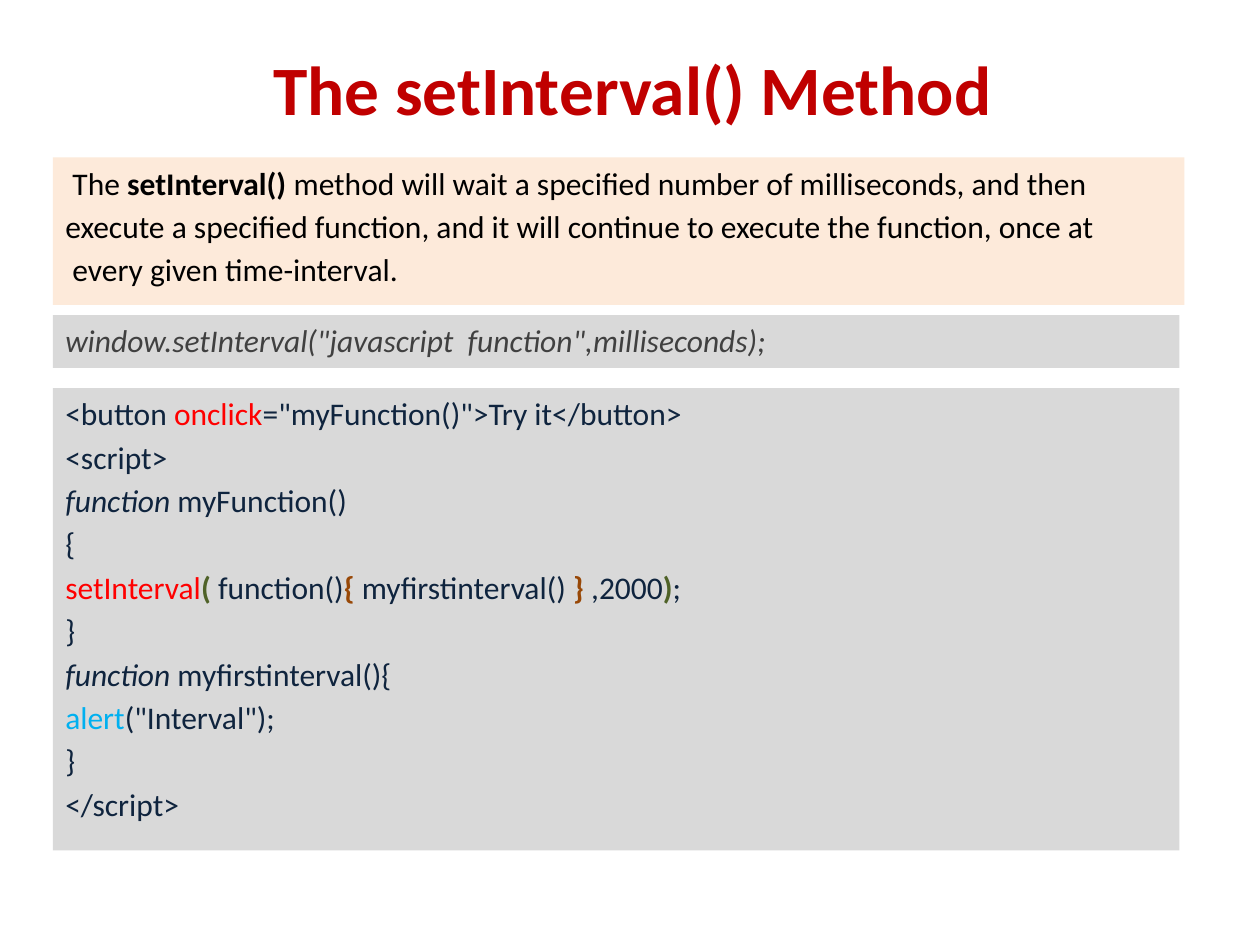
from dataclasses import dataclass

from pptx import Presentation
from pptx.dml.color import RGBColor
from pptx.enum.shapes import MSO_SHAPE
from pptx.enum.text import MSO_ANCHOR, PP_ALIGN
from pptx.util import Inches, Pt

RECTANGLE = MSO_SHAPE.RECTANGLE
TOP, MIDDLE = MSO_ANCHOR.TOP, MSO_ANCHOR.MIDDLE
LEFT, CENTER, JUSTIFY = PP_ALIGN.LEFT, PP_ALIGN.CENTER, PP_ALIGN.JUSTIFY

FONT = "Calibri"
BODY_SIZE = 18
HANGING_INDENT = Inches(0.38)
COLORS = {
    "title": "C00000", "peach": "FDEADA", "grey": "D9D9D9",
    "black": "000000", "syntax": "404040", "code": "0F243E",
    "red": "FF0000", "green": "4F6228", "brown": "984807", "blue": "00B0F0",
}


@dataclass(frozen=True)
class Span:
    text: str
    color: str = "code"
    bold: bool = False
    italic: bool = False


@dataclass(frozen=True)
class Panel:
    top: float
    width: float
    height: float
    fill: str
    lines: list[list[Span]]
    alignment: PP_ALIGN = LEFT


def rgb(name: str) -> RGBColor:
    return RGBColor.from_string(COLORS[name])


def add_span(paragraph, span: Span, size: float = BODY_SIZE) -> None:
    run = paragraph.add_run()
    run.text = span.text
    font_format = {"name": FONT, "size": Pt(size),
                   "bold": span.bold, "italic": span.italic}
    for attribute, value in font_format.items():
        setattr(run.font, attribute, value)
    run.font.color.rgb = rgb(span.color)


def add_panel(slide, panel: Panel) -> None:
    shape = slide.shapes.add_shape(
        RECTANGLE, Inches(0.42), Inches(panel.top),
        Inches(panel.width), Inches(panel.height))
    shape.shadow.inherit = False
    shape.fill.solid()
    shape.fill.fore_color.rgb = rgb(panel.fill)
    shape.line.fill.background()
    text_frame = shape.text_frame
    text_frame.word_wrap = True
    text_frame.vertical_anchor = TOP
    for index, spans in enumerate(panel.lines):
        paragraph = text_frame.add_paragraph() if index else text_frame.paragraphs[0]
        paragraph.alignment = panel.alignment
        paragraph.space_before = Pt(3.2 if index else 0)
        properties = paragraph._p.get_or_add_pPr()
        properties.set("marL", str(HANGING_INDENT))
        properties.set("indent", str(-HANGING_INDENT))
        for span in spans:
            add_span(paragraph, span)


def add_title(slide, text: str) -> None:
    title = slide.shapes.title
    place = {"left": 0.47, "top": 0.23, "width": 9, "height": 0.93}
    for attribute, value in place.items():
        setattr(title, attribute, Inches(value))
    text_frame = title.text_frame
    text_frame.vertical_anchor = MIDDLE
    text_frame.margin_left = Inches(0.2)
    paragraph = text_frame.paragraphs[0]
    paragraph.alignment = CENTER
    add_span(paragraph, Span(text, "title", bold=True), 39.6)


DESCRIPTION = [
    [Span(" The ", "black"), Span("setInterval() ", "black", bold=True),
     Span("method will wait a specified number of milliseconds, and then", "black")],
    [Span("execute a specified function, and it will continue to execute "
          "the function, once at", "black")],
    [Span(" every given time-interval.", "black")],
]
SYNTAX = [[Span('window.setInterval("javascript  function",milliseconds);',
                "syntax", italic=True)]]
EXAMPLE = [
    [Span("<button "), Span("onclick", "red"),
     Span('="myFunction()">Try it</button>')],
    [Span("<script>")],
    [Span("function ", italic=True), Span("myFunction()")],
    [Span("{")],
    [Span("setInterval", "red"), Span("( ", "green", bold=True),
     Span("function()"), Span("{ ", "brown", bold=True),
     Span("myfirstinterval() "), Span("} ", "brown", bold=True),
     Span(",2000"), Span(")", "green", bold=True), Span(";")],
    [Span("}")],
    [Span("function ", italic=True), Span("myfirstinterval(){")],
    [Span("alert", "blue"), Span('("Interval");')],
    [Span("}")],
    [Span("</script>")],
]
PANELS = [
    Panel(1.25, 8.98, 1.17, "peach", DESCRIPTION, JUSTIFY),
    Panel(3.08, 8.94, 3.67, "grey", EXAMPLE),
    Panel(2.5, 8.94, 0.42, "grey", SYNTAX),
]


def main() -> None:
    presentation = Presentation()
    presentation.slide_width = Inches(10)
    presentation.slide_height = Inches(7.5)
    # Title-only layout
    slide = presentation.slides.add_slide(presentation.slide_layouts[5])
    add_title(slide, "The setInterval() Method")
    # Description, code example and syntax
    for panel in PANELS:
        add_panel(slide, panel)
    presentation.save("out.pptx")


if __name__ == "__main__":
    main()
